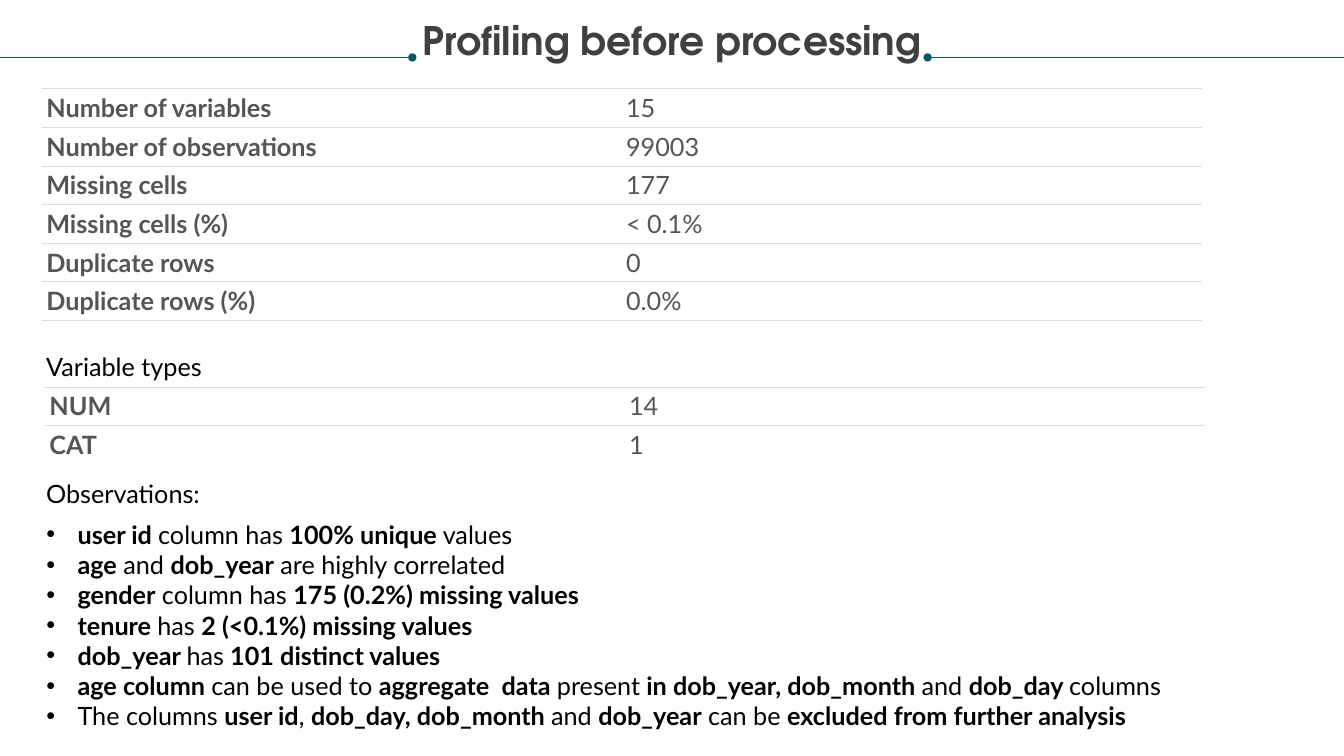
from dataclasses import dataclass

from pptx import Presentation
from pptx.dml.color import RGBColor
from pptx.enum.shapes import MSO_CONNECTOR as Connector
from pptx.enum.text import MSO_ANCHOR as Anchor, MSO_AUTO_SIZE as AutoSize, PP_ALIGN as Align
from pptx.oxml import parse_xml
from pptx.oxml.ns import nsdecls
from pptx.util import Emu, Inches, Pt

SLIDE_WIDTH, SLIDE_HEIGHT = Inches(13.33), Inches(7.5)
TEAL = RGBColor(0x08, 0x57, 0x64)
CHARCOAL = RGBColor(0x40, 0x40, 0x40)
GRAY = RGBColor(0x55, 0x55, 0x55)
SILVER = RGBColor(0xDD, 0xDD, 0xDD)
BLACK = RGBColor(0, 0, 0)

HEADING_FORMAT = {"name": "TeX Gyre Adventor", "size": Pt(28), "bold": True}
BODY_FORMAT = {"name": "Lato", "size": Pt(18)}
CELL_MARGIN = Inches(0.04)
BULLET_INDENT = Inches(0.31)
ROW_SHARE = 5.11
TABLE_SHARE = 86.27
TEXT_LEFT = 2.7
RULE_TOP = 7.6


@dataclass(frozen=True)
class StatTable:
    left: float
    top: float
    rows: tuple[tuple[str, str], ...]
    closed: bool


@dataclass(frozen=True)
class Label:
    top: float
    width: float
    text: str


@dataclass(frozen=True)
class Rule:
    start: float
    stop: float
    dotted_end: str


STAT_TABLES = (
    StatTable(3.15, 11.73, (
        ("Number of variables", "15"),
        ("Number of observations", "99003"),
        ("Missing cells", "177"),
        ("Missing cells (%)", "< 0.1%"),
        ("Duplicate rows", "0"),
        ("Duplicate rows (%)", "0.0%"),
    ), closed=True),
    StatTable(3.38, 51.2, (("NUM", "14"), ("CAT", "1")), closed=False),
)
LABELS = (
    Label(45.87, 13.35, "Variable types"),
    Label(62.67, 13.2, "Observations:"),
)
RULES = (Rule(69.02, 100, "headEnd"), Rule(0, 30.68, "tailEnd"))

# Text between asterisks is bold.
OBSERVATIONS = (
    "*user id *column has *100% unique* values",
    "*age* and *dob_year* are highly correlated",
    "*gender* column has *175 (0.2%) missing values*",
    "*tenure *has *2 (<0.1%) missing values*",
    "*dob_year *has* 101 distinct values*",
    "*age column *can be used to *aggregate  data *present* in dob_year, dob_month *and *dob_day *columns",
    "The columns *user id*, *dob_day, dob_month *and *dob_year* can be *excluded from further analysis*",
)


def across(percent: float) -> Emu:
    return Emu(round(SLIDE_WIDTH * percent / 100))


def down(percent: float) -> Emu:
    return Emu(round(SLIDE_HEIGHT * percent / 100))


def apply_format(target, values: dict) -> None:
    for attribute, value in values.items():
        setattr(target, attribute, value)


def add_text(paragraph, text: str, color: RGBColor, font_format: dict) -> None:
    run = paragraph.add_run()
    run.text = text
    apply_format(run.font, font_format)
    run.font.color.rgb = color


def place(shape, left: float, top: float, width: float, height: float) -> None:
    apply_format(shape, {"left": across(left), "top": down(top),
                         "width": across(width), "height": down(height)})


def add_rule(slide, rule: Rule) -> None:
    line = slide.shapes.add_connector(
        Connector.STRAIGHT, across(rule.start), down(RULE_TOP), across(rule.stop), down(RULE_TOP))
    line.line.color.rgb = TEAL
    line.line.width = Pt(0.5)
    properties = line._element.spPr
    properties.ln.append(parse_xml(f'<a:{rule.dotted_end} {nsdecls("a")} type="oval"/>'))
    properties.append(parse_xml(f'<a:effectLst {nsdecls("a")}/>'))


def set_borders(cell, sides: str) -> None:
    """Draw the borders named in sides (from L, R, T, B) and hide the others."""
    cell_properties = cell._tc.get_or_add_tcPr()
    for index, side in enumerate("LRTB"):
        paint = f'<a:solidFill><a:srgbClr val="{SILVER}"/></a:solidFill>' if side in sides else "<a:noFill/>"
        border = f'<a:ln{side} {nsdecls("a")} w="{Pt(0.6)}">{paint}</a:ln{side}>'
        cell_properties.insert(index, parse_xml(border))


def add_stat_table(slide, stats: StatTable) -> None:
    row_count = len(stats.rows)
    table = slide.shapes.add_table(
        row_count, 2, across(stats.left), down(stats.top),
        across(TABLE_SHARE), down(ROW_SHARE * row_count)).table
    apply_format(table, {"first_row": False, "horz_banding": False})
    for row_index, row in enumerate(stats.rows):
        is_last = row_index == row_count - 1
        for column_index, text in enumerate(row):
            cell = table.cell(row_index, column_index)
            apply_format(cell, {f"margin_{side}": CELL_MARGIN
                                for side in ("left", "right", "top", "bottom")})
            cell.fill.background()
            set_borders(cell, "T" if is_last and not stats.closed else "TB")
            add_text(cell.text_frame.paragraphs[0], text, GRAY,
                     BODY_FORMAT | {"bold": column_index == 0})


def add_label(slide, label: Label) -> None:
    box = slide.shapes.add_textbox(
        across(TEXT_LEFT), down(label.top), across(label.width), down(5.33))
    apply_format(box.text_frame, {"word_wrap": False, "auto_size": AutoSize.SHAPE_TO_FIT_TEXT})
    add_text(box.text_frame.paragraphs[0], label.text, BLACK, BODY_FORMAT)


def fill_heading(title) -> None:
    place(title, 1.88, 2.8, 96.24, 5.6)
    apply_format(title.text_frame, {
        "margin_left": 0, "margin_right": 0, "margin_top": 0, "margin_bottom": 0,
        "word_wrap": True, "auto_size": AutoSize.SHAPE_TO_FIT_TEXT})
    paragraph = title.text_frame.paragraphs[0]
    apply_format(paragraph, {"alignment": Align.CENTER, "line_spacing": 0.9})
    add_text(paragraph, "Profiling before processing", CHARCOAL, HEADING_FORMAT)


def fill_observations(body) -> None:
    place(body, TEXT_LEFT, 68, 90.1, 33.6)
    frame = body.text_frame
    apply_format(frame, {"word_wrap": True, "vertical_anchor": Anchor.TOP,
                         "auto_size": AutoSize.SHAPE_TO_FIT_TEXT})
    for index, observation in enumerate(OBSERVATIONS):
        paragraph = frame.add_paragraph() if index else frame.paragraphs[0]
        properties = paragraph._p.get_or_add_pPr()
        properties.set("marL", str(BULLET_INDENT))
        properties.set("indent", str(-BULLET_INDENT))
        properties.append(parse_xml(f'<a:buFont {nsdecls("a")} typeface="Arial"/>'))
        properties.append(parse_xml(f'<a:buChar {nsdecls("a")} char="•"/>'))
        paragraph.space_before = Pt(0)
        for part_index, part in enumerate(observation.split("*")):
            if part:
                add_text(paragraph, part, BLACK, BODY_FORMAT | {"bold": part_index % 2 == 1})


def main() -> None:
    presentation = Presentation()
    apply_format(presentation, {"slide_width": SLIDE_WIDTH, "slide_height": SLIDE_HEIGHT})
    slide = presentation.slides.add_slide(presentation.slide_layouts[1])
    fill_heading(slide.shapes.title)
    fill_observations(slide.placeholders[1])
    for rule in RULES:
        add_rule(slide, rule)
    for stats in STAT_TABLES:
        add_stat_table(slide, stats)
    for label in LABELS:
        add_label(slide, label)
    presentation.save("out.pptx")


if __name__ == "__main__":
    main()
